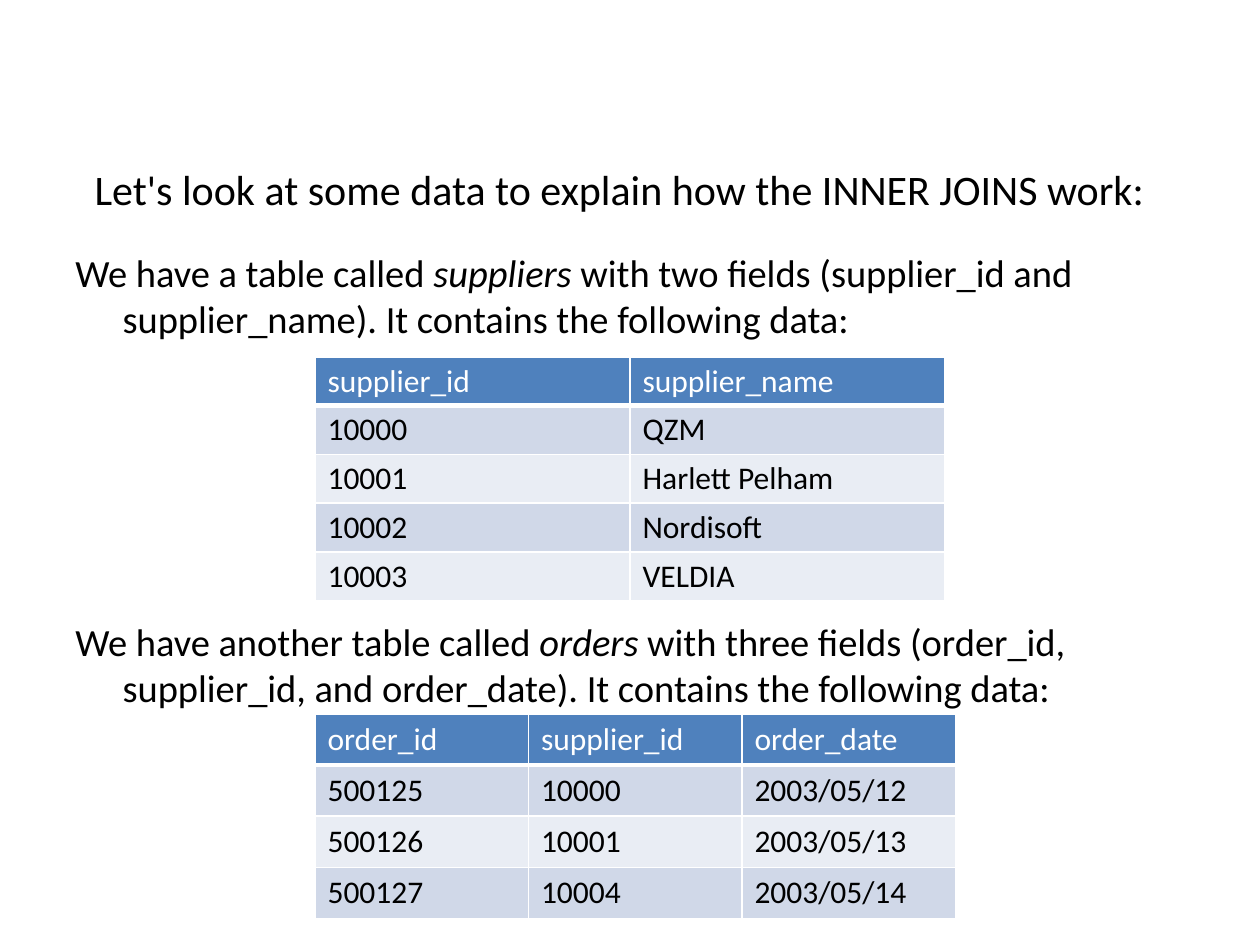
from lxml import etree
from pptx import Presentation
from pptx.dml.color import RGBColor
from pptx.enum.text import MSO_ANCHOR, PP_ALIGN
from pptx.oxml.ns import qn
from pptx.util import Pt

CENTER = PP_ALIGN.CENTER
MIDDLE = MSO_ANCHOR.MIDDLE
BLACK = RGBColor(0x00, 0x00, 0x00)
WHITE = RGBColor(0xFF, 0xFF, 0xFF)
HEADER = RGBColor(0x4F, 0x81, 0xBD)
BANDS = [RGBColor(0xE9, 0xED, 0xF4), RGBColor(0xD0, 0xD8, 0xE8)]
FONT = "Calibri"


def add_run(p, text, size, color=BLACK, italic=False):
    r = p.add_run()
    r.text = text
    formats = {"name": FONT, "size": Pt(size), "bold": False, "italic": italic}
    for name, value in formats.items():
        setattr(r.font, name, value)
    r.font.color.rgb = color


def set_borders(cell, bottom):
    """Draw white cell borders, 1 pt wide except for the bottom one."""
    tc_pr = cell._tc.get_or_add_tcPr()
    widths = {"lnL": 1, "lnR": 1, "lnT": 1, "lnB": bottom}
    for i, (side, width) in enumerate(widths.items()):
        ln = etree.Element(qn(f"a:{side}"), w=str(Pt(width)))
        fill = etree.SubElement(ln, qn("a:solidFill"))
        etree.SubElement(fill, qn("a:srgbClr"), val=str(WHITE))
        tc_pr.insert(i, ln)


prs = Presentation()
prs.slide_width, prs.slide_height = Pt(720), Pt(540)
s = prs.slides.add_slide(prs.slide_layouts[6])

# Title
title = s.shapes.add_textbox(Pt(30), Pt(78), Pt(648), Pt(60))
tf = title.text_frame
tf.word_wrap = True
tf.vertical_anchor = MIDDLE
p = tf.paragraphs[0]
p.alignment = CENTER
add_run(p, "Let's look at some data to explain how the INNER JOINS work:", 24)

# Introductions to the tables: top and text before, in and after the italics
intros = [
    (138.5, "We have a table called ", "suppliers",
     " with two fields (supplier_id and supplier_name). "
     "It contains the following data:"),
    (349.5, "We have another table called ", "orders",
     " with three fields (order_id, supplier_id, and order_date). "
     "It contains the following data:"),
]
for top, before, table_name, after in intros:
    tf = s.shapes.add_textbox(Pt(36), Pt(top), Pt(648), Pt(60)).text_frame
    tf.word_wrap = True
    p = tf.paragraphs[0]
    p_pr = p._p.get_or_add_pPr()
    p_pr.set("marL", str(Pt(27)))
    p_pr.set("indent", str(Pt(-27)))
    add_run(p, before, 22)
    add_run(p, table_name, 22, italic=True)
    add_run(p, after, 22)

# Tables: top, width, row height and rows
suppliers = [
    ("supplier_id", "supplier_name"),
    ("10000", "QZM"),
    ("10001", "Harlett Pelham"),
    ("10002", "Nordisoft"),
    ("10003", "VELDIA"),
]
orders = [
    ("order_id", "supplier_id", "order_date"),
    ("500125", "10000", "2003/05/12"),
    ("500126", "10001", "2003/05/13"),
    ("500127", "10004", "2003/05/14"),
]
margins = {"margin_left": 7.2, "margin_right": 7.2,
           "margin_top": 2.88, "margin_bottom": 2.88}
for top, width, row_height, rows in [(204, 360, 27.84, suppliers),
                                     (408, 366, 29.2, orders)]:
    n_rows, n_cols = len(rows), len(rows[0])
    table = s.shapes.add_table(n_rows, n_cols, Pt(180), Pt(top), Pt(width),
                               Pt(row_height * n_rows)).table
    for column in table.columns:
        column.width = Pt(width / n_cols)
    for i, row in enumerate(rows):
        table.rows[i].height = Pt(row_height)
        for j, text in enumerate(row):
            cell = table.cell(i, j)
            cell.vertical_anchor = MIDDLE
            for name, value in margins.items():
                setattr(cell, name, Pt(value))
            cell.fill.solid()
            cell.fill.fore_color.rgb = BANDS[i % 2] if i else HEADER
            set_borders(cell, bottom=1 if i else 3)
            add_run(cell.text_frame.paragraphs[0], text, 18,
                    BLACK if i else WHITE)

prs.save("out.pptx")
